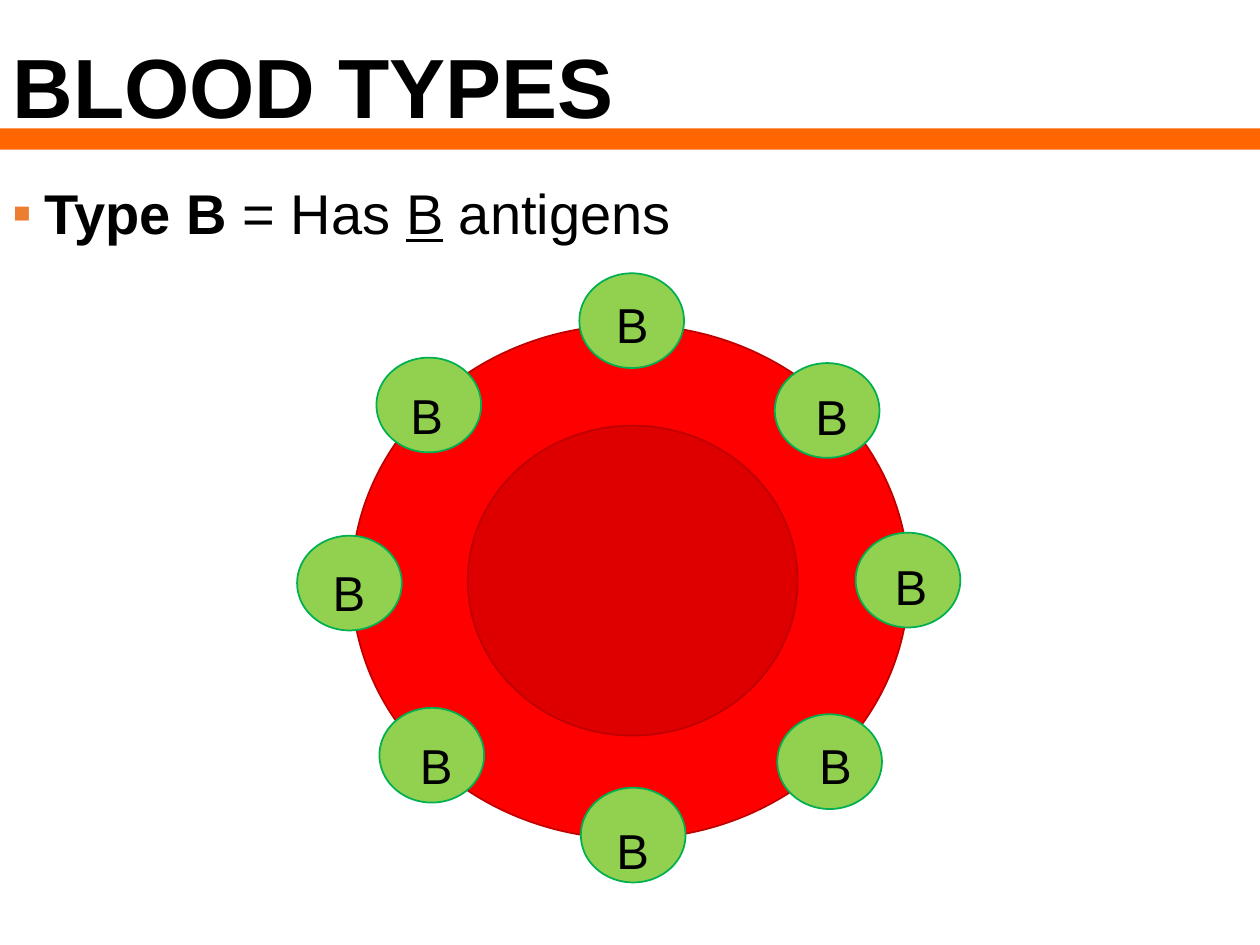
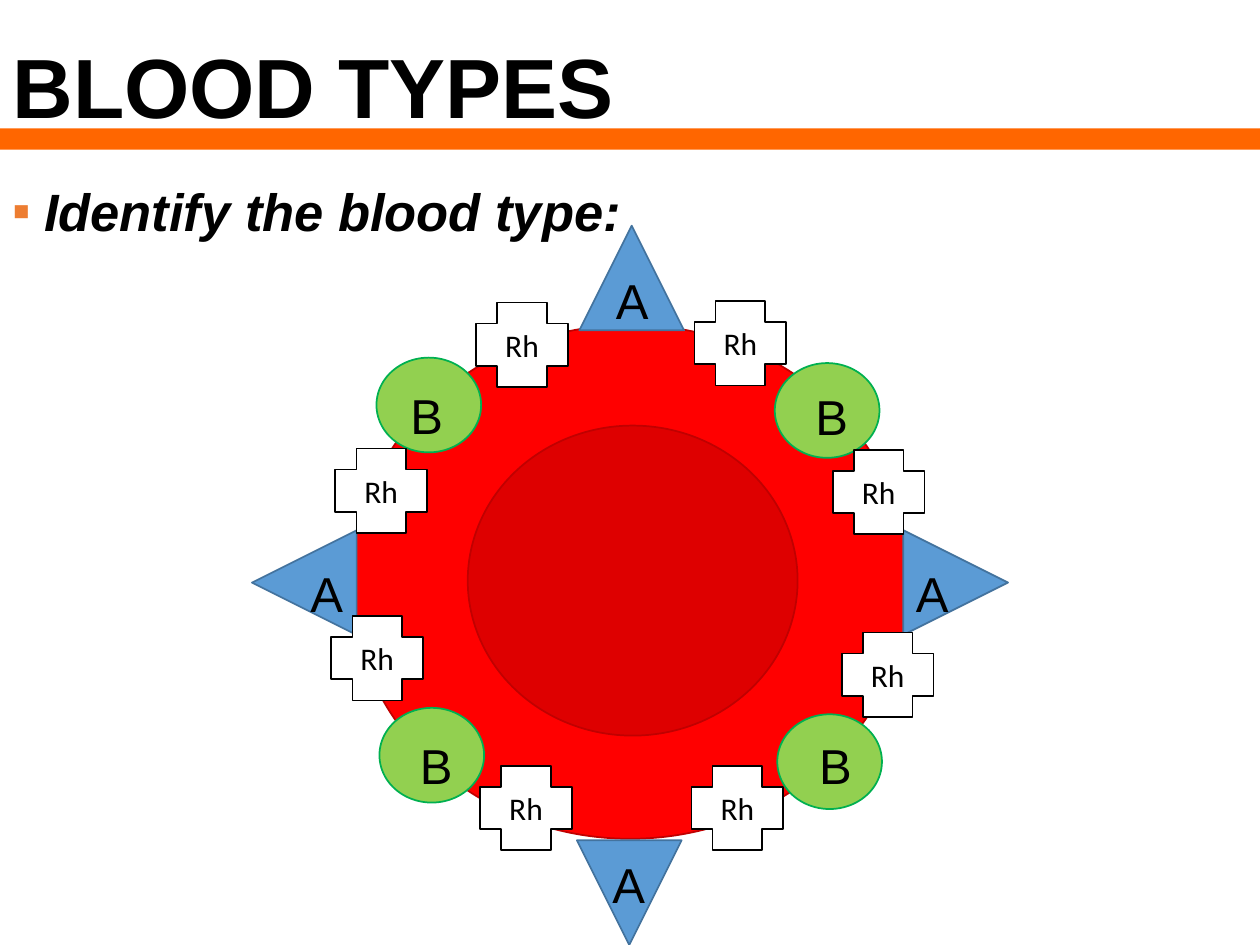
from dataclasses import dataclass

import lxml.etree
import pptx
import pptx.dml.color
import pptx.enum.shapes
import pptx.enum.text
import pptx.oxml.ns
import pptx.util

Cm = pptx.util.Cm
Pt = pptx.util.Pt
SHAPE = pptx.enum.shapes.MSO_SHAPE
ANCHOR = pptx.enum.text.MSO_ANCHOR
ALIGN = pptx.enum.text.PP_ALIGN
qn = pptx.oxml.ns.qn


@dataclass(frozen=True)
class Theme:
    font: str = "Arial"
    marker_font: str = "Calibri"
    ink: str = "000000"
    paper: str = "FFFFFF"
    band: str = "FF6600"
    bullet: str = "ED7D31"
    cell: str = "FF0000"
    cell_edge: str = "C00000"
    core_opacity: int = 52
    a_fill: str = "5B9BD5"
    a_edge: str = "43739E"
    b_fill: str = "92D050"
    b_edge: str = "00B050"
    title_size: int = 48
    fact_size: int = 32
    question_size: int = 30
    letter_size: int = 28
    rh_size: int = 18


THEME = Theme()
SLIDE_SIZE = (25.4, 19.05)
TITLE_BOX = (0, 0.64, 22.86, 1.96)
BAND_BOX = (0, 2.59, 25.4, 0.43)
STATEMENT_BOX = (0, 3.18, 25.4, 2.74)
CELL_BOX = (7.09, 6.55, 11.23, 10.36)
A_SIZE = (2.11, 2.11)
B_SIZE = (2.11, 1.91)
RH_SIZE = (1.85, 1.7)
LETTER_SIZE = (1.07, 1.88)
TEXT_DROP = 0.42

# left, top, letter shift right, letter shift down
B_DIAGONAL = [
    (0.5, 0.66, 0.48, 0.15),
    (8.53, 0.77, 0.61, 0.05),
    (0.56, 7.72, 0.61, 0.13),
    (8.58, 7.85, 0.64, 0),
]
B_AXIAL = [
    (4.59, -1.04, 0.53, 0),
    (4.62, 9.33, 0.51, 0.25),
    (10.16, 4.19, 0.58, 0.05),
    (-1.1, 4.25, 0.51, 0.13),
]
A_BY_ROTATION = {
    0: (4.59, -2, 0.53, 0.48),
    90: (11.12, 4.14, 0.05, 0.25),
    180: (4.54, 10.39, 0.51, -0.13),
    270: (-2.01, 4.14, 0.97, 0.25),
}
RH_PLACES = [
    (2.51, -0.45), (6.91, -0.48), (9.88, 6.2), (2.59, 8.89),
    (-0.33, 2.49), (-0.41, 5.87), (9.7, 2.52), (6.85, 8.89),
]


def rgb(value):
    return pptx.dml.color.RGBColor.from_string(value)


def lengths(box):
    return [Cm(value) for value in box]


def set_font(font, size, name=THEME.font, bold=False, italic=False):
    font.name, font.size = name, Pt(size)
    font.bold, font.italic = bold, italic
    font.color.rgb = rgb(THEME.ink)


def set_frame(frame, insets=(0, 0, 0, 0), anchor=ANCHOR.TOP):
    frame.auto_size = pptx.enum.text.MSO_AUTO_SIZE.NONE
    frame.word_wrap = True
    frame.vertical_anchor = anchor
    (frame.margin_left, frame.margin_top,
     frame.margin_right, frame.margin_bottom) = lengths(insets)


def add_filled(shapes, kind, box, fill, edge=None):
    shape = shapes.add_shape(kind, *lengths(box))
    shape.shadow.inherit = False
    shape.fill.solid()
    shape.fill.fore_color.rgb = rgb(fill)
    if edge:
        shape.line.color.rgb = rgb(edge)
        shape.line.width = Pt(1)
    else:
        shape.line.fill.background()
    return shape


def add_header(slide, text):
    add_filled(slide.shapes, SHAPE.RECTANGLE, BAND_BOX, THEME.band)
    title = slide.shapes.title
    title.left, title.top, title.width, title.height = lengths(TITLE_BOX)
    title.text = text
    set_frame(title.text_frame, (0.25, 0.06, 0.25, 0))
    heading = title.text_frame.paragraphs[0]
    heading.alignment = ALIGN.LEFT
    set_font(heading.font, THEME.title_size, bold=True)


def add_statement(slide, box):
    frame = slide.shapes.add_textbox(*lengths(box)).text_frame
    set_frame(frame, (0.25, TEXT_DROP, 0.25, 0.13))
    statement = frame.paragraphs[0]
    properties = statement._p.get_or_add_pPr()
    properties.set("marL", str(Cm(0.64)))
    properties.set("indent", str(-Cm(0.64)))
    color = lxml.etree.SubElement(properties, qn("a:buClr"))
    lxml.etree.SubElement(color, qn("a:srgbClr"), val=THEME.bullet)
    lxml.etree.SubElement(properties, qn("a:buFont"), typeface=THEME.font)
    lxml.etree.SubElement(properties, qn("a:buChar"), char="▪")
    return statement


def add_cell(slide, box):
    left, top, _, _ = box
    cell = slide.shapes.add_group_shape()
    add_filled(cell.shapes, SHAPE.OVAL, box, THEME.cell, THEME.cell_edge)
    core = add_filled(cell.shapes, SHAPE.OVAL,
                      (left + 2.34, top + 2.03, 6.65, 6.25),
                      THEME.cell_edge, THEME.cell_edge)
    color = core.fill._xPr.find(qn("a:solidFill")).find(qn("a:srgbClr"))
    lxml.etree.SubElement(color, qn("a:alpha"),
                          val=str(THEME.core_opacity * 1000))


def add_letter(slide, letter, left, top):
    frame = slide.shapes.add_textbox(*lengths((left, top, *LETTER_SIZE))).text_frame
    set_frame(frame, (0, TEXT_DROP, 0, 0))
    frame.text = letter
    label = frame.paragraphs[0]
    label.alignment = ALIGN.CENTER
    set_font(label.font, THEME.letter_size)


def add_antigen(slide, cell_box, letter, place, rotation=0):
    left, top = cell_box[0] + place[0], cell_box[1] + place[1]
    if letter == "A":
        kind, size, colors = SHAPE.ISOSCELES_TRIANGLE, A_SIZE, (THEME.a_fill, THEME.a_edge)
    else:
        kind, size, colors = SHAPE.OVAL, B_SIZE, (THEME.b_fill, THEME.b_edge)
    antigen = add_filled(slide.shapes, kind, (left, top, *size), *colors)
    antigen.rotation = rotation
    add_letter(slide, letter, left + place[2], top + place[3])


def add_rh_factor(slide, cell_box, place):
    box = (cell_box[0] + place[0], cell_box[1] + place[1], *RH_SIZE)
    factor = add_filled(slide.shapes, SHAPE.CROSS, box, THEME.paper, THEME.ink)
    set_frame(factor.text_frame, anchor=ANCHOR.MIDDLE)
    factor.text_frame.text = "Rh"
    label = factor.text_frame.paragraphs[0]
    label.alignment = ALIGN.CENTER
    set_font(label.font, THEME.rh_size, THEME.marker_font)


def add_blood_slide(deck):
    slide = deck.slides.add_slide(deck.slide_layouts[5])
    add_cell(slide, CELL_BOX)
    add_header(slide, "BLOOD TYPES")
    return slide


def build_type_b(deck):
    slide = add_blood_slide(deck)
    fact = add_statement(slide, STATEMENT_BOX)
    set_font(fact.font, THEME.fact_size)
    for text, bold, underline in [("Type B ", True, False), ("= Has ", False, False),
                                  ("B", False, True), (" antigens", False, False)]:
        run = fact.add_run()
        run.text = text
        run.font.bold, run.font.underline = bold, underline
    for place in B_AXIAL + B_DIAGONAL:
        add_antigen(slide, CELL_BOX, "B", place)


def build_question(deck):
    slide = add_blood_slide(deck)
    for rotation, place in A_BY_ROTATION.items():
        add_antigen(slide, CELL_BOX, "A", place, rotation)
    for place in B_DIAGONAL:
        add_antigen(slide, CELL_BOX, "B", place)
    for place in RH_PLACES:
        add_rh_factor(slide, CELL_BOX, place)
    question = add_statement(slide, STATEMENT_BOX)
    question.add_run().text = "Identify the blood type:"
    set_font(question.font, THEME.question_size, bold=True, italic=True)


def main():
    deck = pptx.Presentation()
    deck.slide_width, deck.slide_height = lengths(SLIDE_SIZE)
    build_type_b(deck)
    build_question(deck)
    deck.save("out.pptx")


if __name__ == "__main__":
    main()
